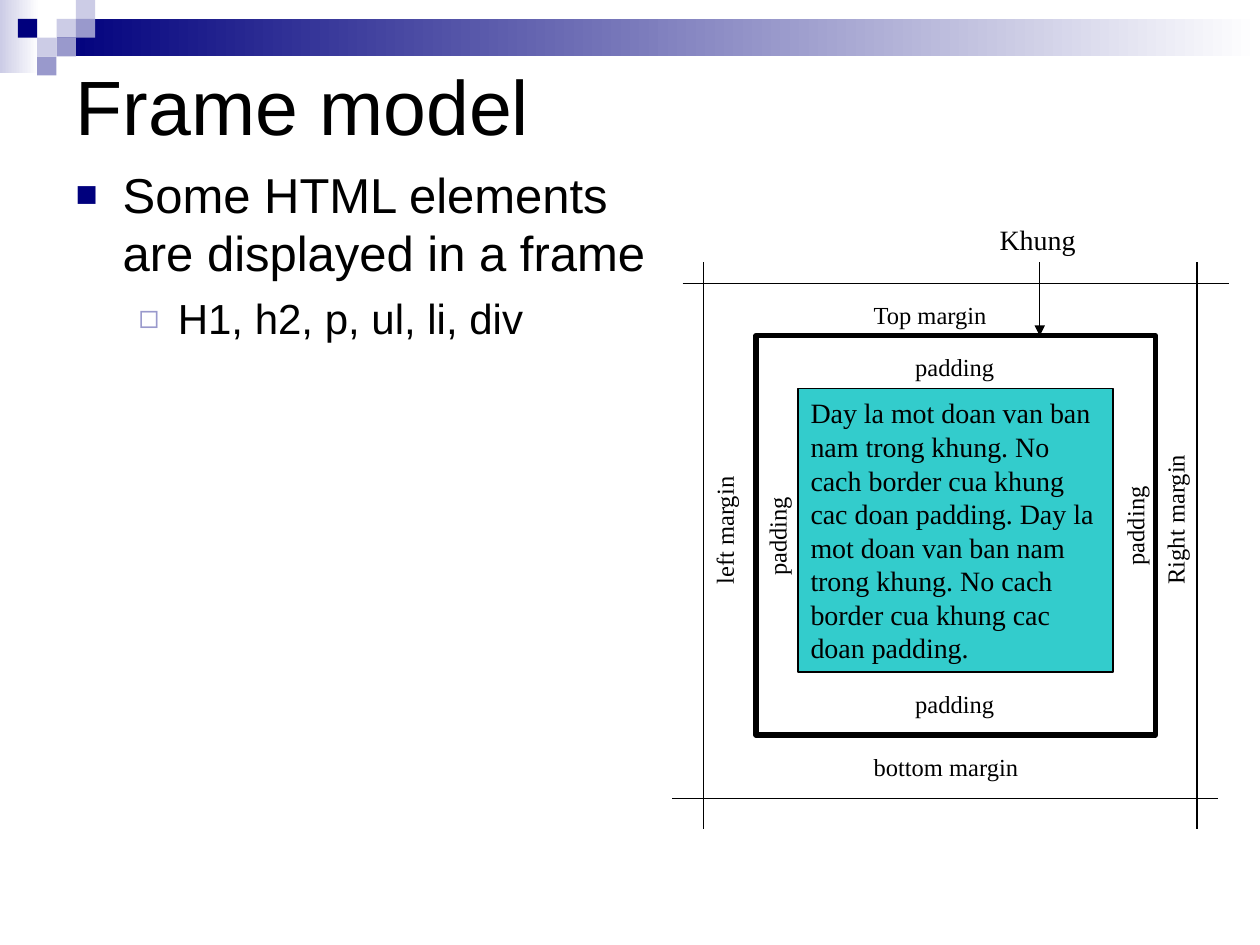
from dataclasses import dataclass

from lxml.etree import SubElement
from pptx import Presentation
from pptx.dml.color import RGBColor
from pptx.enum.dml import MSO_LINE
from pptx.enum.shapes import MSO_CONNECTOR, MSO_SHAPE
from pptx.enum.text import MSO_ANCHOR, MSO_AUTO_SIZE, PP_ALIGN
from pptx.oxml.ns import qn
from pptx.util import Cm, Pt

BLACK = RGBColor(0x00, 0x00, 0x00)
WHITE = RGBColor(0xFF, 0xFF, 0xFF)
NAVY = RGBColor(0x00, 0x00, 0x7D)
LAVENDER = RGBColor(0xCC, 0xCC, 0xE6)
PERIWINKLE = RGBColor(0x99, 0x99, 0xCC)
TURQUOISE = RGBColor(0x33, 0xCC, 0xCC)
SANS = "Arial"
SERIF = "Times New Roman"
CELL = 0.38
CELL_PITCH = 0.39
MOSAIC_LEFT = 0.36


@dataclass
class Area:
    left: float
    top: float
    width: float
    height: float

    def lengths(self) -> tuple:
        return Cm(self.left), Cm(self.top), Cm(self.width), Cm(self.height)


@dataclass
class Tile:
    column: int
    row: int
    color: RGBColor


@dataclass
class Label:
    text: str
    left: float
    top: float
    width: float
    height: float = 0.86
    size: int = 14
    rotation: int = 0


@dataclass
class Guide:
    start: tuple
    end: tuple
    arrow: bool = False


@dataclass
class Bullet:
    text: str
    level: int
    size: int
    space: int
    margin: float
    hanging: float
    symbol: str
    color: RGBColor
    percent: int


TILES = [
    Tile(2, 1, LAVENDER),
    Tile(3, 0, LAVENDER),
    Tile(3, 1, PERIWINKLE),
    Tile(1, 2, LAVENDER),
    Tile(0, 1, NAVY),
    Tile(2, 2, PERIWINKLE),
    Tile(1, 3, PERIWINKLE),
]
BULLETS = [
    Bullet("Some HTML elements are displayed in a frame", 0, 28, 0, 0.95, 0.95, "■", NAVY, 75),
    Bullet("H1, h2, p, ul, li, div", 1, 24, 6, 2.06, 0.79, "◻", PERIWINKLE, 80),
]
GUIDES = [
    Guide((14.18, 5.29), (14.18, 16.72)),
    Guide((13.55, 16.09), (24.55, 16.09)),
    Guide((24.13, 5.29), (24.13, 16.72)),
    Guide((13.76, 5.72), (24.77, 5.72)),
    Guide((20.96, 5.29), (20.96, 6.77), arrow=True),
]
LABELS = [
    Label("Top margin", 17.36, 5.93, 3.39),
    Label("padding", 18.2, 13.76, 2.12),
    Label("padding", 14.61, 10.37, 2.12, rotation=270),
    Label("padding", 21.82, 10.16, 2.12, rotation=270),
    Label("left margin", 13.03, 10.03, 3.15, rotation=270),
    Label("Right margin", 22.12, 10.03, 3.15, rotation=270),
    Label("padding", 18.2, 6.98, 2.12),
    Label("bottom margin", 17.36, 15.04, 3.81),
    Label("Khung", 19.9, 4.37, 2.12, height=0.94, size=16),
]
PARAGRAPH_TEXT = (
    "Day la mot doan van ban nam trong khung. No cach border cua khung cac doan padding. "
    "Day la mot doan van ban nam trong khung. No cach border cua khung cac doan padding."
)


def format_paragraph(para, size: int, font: str) -> None:
    para.alignment = PP_ALIGN.LEFT
    for span in para.runs:
        span.font.size = Pt(size)
        span.font.name = font
        span.font.color.rgb = BLACK


def add_box(slide, area: Area, fill: RGBColor | None = None, line_width: float = 0):
    box = slide.shapes.add_shape(MSO_SHAPE.RECTANGLE, *area.lengths())
    box.shadow.inherit = False
    if fill is None:
        box.fill.background()
    else:
        box.fill.solid()
        box.fill.fore_color.rgb = fill
    if line_width:
        box.line.color.rgb = BLACK
        box.line.width = Pt(line_width)
        box.line.dash_style = MSO_LINE.SOLID
    else:
        box.line.fill.background()
    return box


def add_fading_box(slide, area: Area, color: RGBColor) -> None:
    box = add_box(slide, area)
    box.fill.gradient()
    box.fill.gradient_angle = 0
    for stop, stop_color in zip(box.fill.gradient_stops, (color, WHITE)):
        stop.color.rgb = stop_color


def add_label(slide, label: Label) -> None:
    area = Area(label.left, label.top, label.width, label.height)
    box = slide.shapes.add_textbox(*area.lengths())
    box.rotation = label.rotation
    box.text_frame.word_wrap = True
    box.text_frame.text = label.text
    format_paragraph(box.text_frame.paragraphs[0], label.size, SERIF)


def add_guide(slide, guide: Guide) -> None:
    points = [Cm(value) for value in guide.start + guide.end]
    line = slide.shapes.add_connector(MSO_CONNECTOR.STRAIGHT, *points)
    line.line.color.rgb = BLACK
    line.line.width = Pt(0.75)
    if guide.arrow:
        SubElement(line.line._get_or_add_ln(), qn("a:tailEnd"), type="triangle")
    SubElement(line._element.spPr, qn("a:effectLst"))


def fill_title(title, text: str) -> None:
    title.left, title.top, title.width, title.height = Area(1.27, 1.27, 22.66, 1.7).lengths()
    title.text_frame.text = text
    title.text_frame.auto_size = MSO_AUTO_SIZE.NONE
    title.text_frame.vertical_anchor = MSO_ANCHOR.MIDDLE
    format_paragraph(title.text_frame.paragraphs[0], 44, SANS)


def fill_body(body, bullets: list[Bullet]) -> None:
    body.left, body.top, body.width, body.height = Area(1.27, 3.18, 12.17, 13.13).lengths()
    body.text_frame.text = "\n".join(bullet.text for bullet in bullets)
    body.text_frame.auto_size = MSO_AUTO_SIZE.NONE
    for para, bullet in zip(body.text_frame.paragraphs, bullets):
        para.level = bullet.level
        properties = para._p.get_or_add_pPr()
        properties.set("marL", str(Cm(bullet.margin)))
        properties.set("indent", str(-Cm(bullet.hanging)))
        color = SubElement(properties, qn("a:buClr"))
        SubElement(color, qn("a:srgbClr"), val=str(bullet.color))
        SubElement(properties, qn("a:buSzPct"), val=str(bullet.percent * 1000))
        SubElement(properties, qn("a:buChar"), char=bullet.symbol)
        para.space_before = Pt(bullet.space)
        format_paragraph(para, bullet.size, SANS)


def main() -> None:
    deck = Presentation()
    deck.slide_width, deck.slide_height = Cm(25.4), Cm(19.05)
    page = deck.slides.add_slide(deck.slide_layouts[1])
    fill_title(page.shapes.title, "Frame model")
    fill_body(page.placeholders[1], BULLETS)

    add_fading_box(page, Area(0, 0, 0.79, 1.47), LAVENDER)
    add_fading_box(page, Area(1.14, 0.38, 24.26, 0.76), NAVY)
    for tile in TILES:
        left = MOSAIC_LEFT + tile.column * CELL_PITCH
        add_box(page, Area(left, tile.row * CELL, CELL_PITCH, CELL), tile.color)

    add_box(page, Area(15.24, 6.77, 8.05, 8.05), line_width=3)
    content = add_box(page, Area(16.09, 7.83, 6.35, 5.72), TURQUOISE, 0.75)
    content.text_frame.word_wrap = True
    content.text_frame.vertical_anchor = MSO_ANCHOR.MIDDLE
    content.text_frame.text = PARAGRAPH_TEXT
    format_paragraph(content.text_frame.paragraphs[0], 16, SERIF)
    for guide in GUIDES:
        add_guide(page, guide)
    for label in LABELS:
        add_label(page, label)
    deck.save("out.pptx")


if __name__ == "__main__":
    main()
